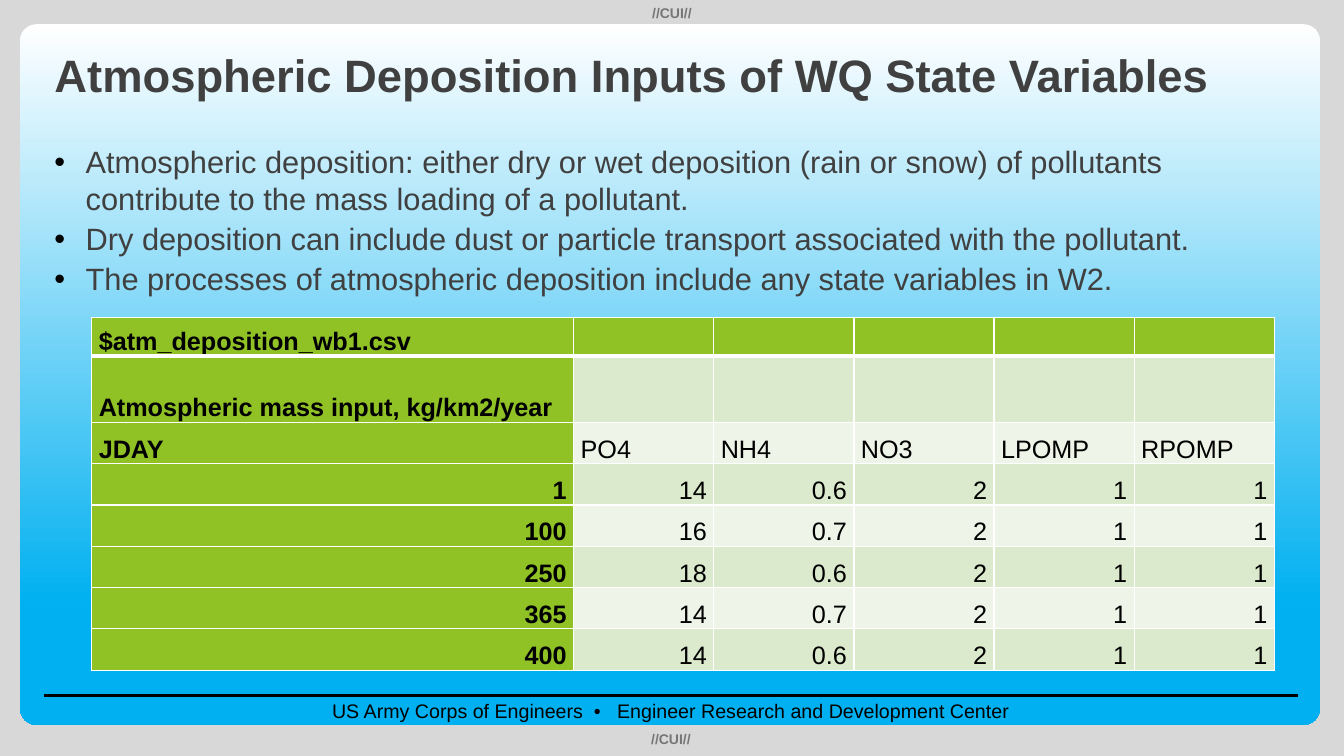
from dataclasses import dataclass

from lxml.etree import SubElement
from pptx import Presentation
from pptx.dml.color import RGBColor
from pptx.enum.shapes import MSO_CONNECTOR, MSO_SHAPE
from pptx.enum.text import MSO_ANCHOR as Anchor, MSO_AUTO_SIZE as AutoSize, PP_ALIGN as Align
from pptx.oxml.ns import qn
from pptx.util import Inches, Pt

TITLE = "Atmospheric Deposition Inputs of WQ State Variables"
BULLETS = [
    "Atmospheric deposition: either dry or wet deposition (rain or snow) of pollutants "
    "contribute to the mass loading of a pollutant.",
    "Dry deposition can include dust or particle transport associated with the pollutant.",
    "The processes of atmospheric deposition include any state variables in W2.",
]
FOOTER = "US Army Corps of Engineers  •   Engineer Research and Development Center"
MARKING = "//CUI//"
TABLE = [
    ["$atm_deposition_wb1.csv", "", "", "", "", ""],
    ["Atmospheric mass input, kg/km2/year", "", "", "", "", ""],
    ["JDAY", "PO4", "NH4", "NO3", "LPOMP", "RPOMP"],
    ["1", "14", "0.6", "2", "1", "1"],
    ["100", "16", "0.7", "2", "1", "1"],
    ["250", "18", "0.6", "2", "1", "1"],
    ["365", "14", "0.7", "2", "1", "1"],
    ["400", "14", "0.6", "2", "1", "1"],
]
LABEL_ROWS = 3
COL_WIDTHS = [4.78] + [1.39] * 5
ROW_HEIGHTS = [0.38, 0.66] + [0.41] * 6


@dataclass(frozen=True)
class Theme:
    font: str = "Arial"
    page: str = "D8D8D8"
    panel_top: str = "FFFFFF"
    panel_bottom: str = "00B0F0"
    ink: str = "404040"
    black: str = "000000"
    marking: str = "767676"
    border: str = "FFFFFF"
    header: str = "90C226"
    bands: tuple = ("EEF4E8", "DBE9CD")
    title_size: float = 32.4
    body_size: float = 22
    table_size: float = 18
    footer_size: float = 14
    marking_size: float = 10


T = Theme()


def rgb(value):
    return RGBColor.from_string(value)


def add_run(p, text, size, color, bold=False):
    r = p.add_run()
    r.text = text
    r.font.name, r.font.size, r.font.bold = T.font, Pt(size), bold
    r.font.color.rgb = rgb(color)


def place(sp, left, top, width, height):
    sp.left, sp.top = Inches(left), Inches(top)
    sp.width, sp.height = Inches(width), Inches(height)


def add_centred_text(slide, box, text, size, color, bold=False):
    tf = slide.shapes.add_textbox(*map(Inches, box)).text_frame
    tf.word_wrap = True
    tf.auto_size = AutoSize.SHAPE_TO_FIT_TEXT
    p = tf.paragraphs[0]
    p.alignment = Align.CENTER
    add_run(p, text, size, color, bold)


def add_frame(slide):
    """Draw the gradient panel, the footer rule and the marginal texts."""
    slide.background.fill.solid()
    slide.background.fill.fore_color.rgb = rgb(T.page)

    panel = slide.shapes.add_shape(
        MSO_SHAPE.ROUNDED_RECTANGLE, *map(Inches, (0.2, 0.24, 12.89, 6.95)))
    panel.adjustments[0] = 0.023
    panel.shadow.inherit = False
    panel.line.fill.background()
    panel.fill.gradient()
    panel.fill.gradient_angle = 270
    stops = ((0, T.panel_top), (0.83, T.panel_bottom))
    for stop, (position, color) in zip(panel.fill.gradient_stops, stops):
        stop.position = position
        stop.color.rgb = rgb(color)

    rule = slide.shapes.add_connector(
        MSO_CONNECTOR.STRAIGHT, *map(Inches, (0.44, 6.9, 12.87, 6.9)))
    rule.line.color.rgb = rgb(T.black)
    rule.line.width = Pt(1.5)
    SubElement(rule._element.spPr, qn("a:effectLst"))

    add_centred_text(slide, (0.45, 6.88, 12.41, 0.34), FOOTER, T.footer_size, T.black)
    for left, top in ((0, 0), (-0.01, 7.2)):
        add_centred_text(slide, (left, top, 13.33, 0.27), MARKING,
                         T.marking_size, T.marking, True)


def fill_title(title):
    place(title, 0.44, 0.3, 12.22, 0.88)
    tf = title.text_frame
    tf.vertical_anchor = Anchor.MIDDLE
    tf.auto_size = AutoSize.NONE
    p = tf.paragraphs[0]
    p.alignment = Align.LEFT
    add_run(p, TITLE, T.title_size, T.ink, True)


def fill_body(body):
    place(body, 0.44, 1.37, 12.22, 5.13)
    tf = body.text_frame
    tf.auto_size = AutoSize.NONE
    for i, text in enumerate(BULLETS):
        p = tf.add_paragraph() if i else tf.paragraphs[0]
        p.space_before = Pt(2.2 if i else 0)
        pPr = p._p.get_or_add_pPr()
        pPr.set("marL", str(Inches(0.31)))
        pPr.set("indent", str(-Inches(0.31)))
        SubElement(SubElement(pPr, qn("a:buClr")), qn("a:srgbClr"), val=T.black)
        SubElement(pPr, qn("a:buFont"), typeface=T.font)
        SubElement(pPr, qn("a:buChar"), char="•")
        add_run(p, text, T.body_size, T.ink)


def set_borders(cell, top, bottom):
    """Give all four sides a line; top and bottom are widths in points."""
    tcPr = cell._tc.get_or_add_tcPr()
    for side, width in (("L", 1), ("R", 1), ("T", top), ("B", bottom)):
        ln = SubElement(tcPr, qn(f"a:ln{side}"), w=str(Pt(width)))
        SubElement(SubElement(ln, qn("a:solidFill")), qn("a:srgbClr"), val=T.border)


def add_deposition_table(slide):
    table = slide.shapes.add_table(
        len(TABLE), len(COL_WIDTHS), Inches(0.91), Inches(3.15),
        Inches(sum(COL_WIDTHS)), Inches(sum(ROW_HEIGHTS))).table
    for column, width in zip(table.columns, COL_WIDTHS):
        column.width = Inches(width)
    for row, height in zip(table.rows, ROW_HEIGHTS):
        row.height = Inches(height)
    for r, values in enumerate(TABLE):
        for c, value in enumerate(values):
            cell = table.cell(r, c)
            is_header = r == 0 or c == 0
            set_borders(cell, 3 if r == 1 else 1, 3 if r == 0 else 1)
            cell.fill.solid()
            cell.fill.fore_color.rgb = rgb(T.header if is_header else T.bands[r % 2])
            cell.vertical_anchor = Anchor.BOTTOM
            cell.margin_left = cell.margin_right = Inches(0.07)
            cell.margin_top = cell.margin_bottom = 0
            p = cell.text_frame.paragraphs[0]
            p.line_spacing = 1.07
            p.alignment = Align.LEFT if r < LABEL_ROWS else Align.RIGHT
            if value:
                add_run(p, value, T.table_size, T.black, is_header)


def main():
    prs = Presentation()
    prs.slide_width, prs.slide_height = Inches(13.33), Inches(7.5)
    slide = prs.slides.add_slide(prs.slide_layouts[1])
    title, body = slide.placeholders
    add_frame(slide)
    for sp in (title, body):  # bring the placeholders in front of the panel
        slide.shapes._spTree.append(sp._element)
    fill_title(title)
    fill_body(body)
    add_deposition_table(slide)
    prs.save("out.pptx")


if __name__ == "__main__":
    main()
